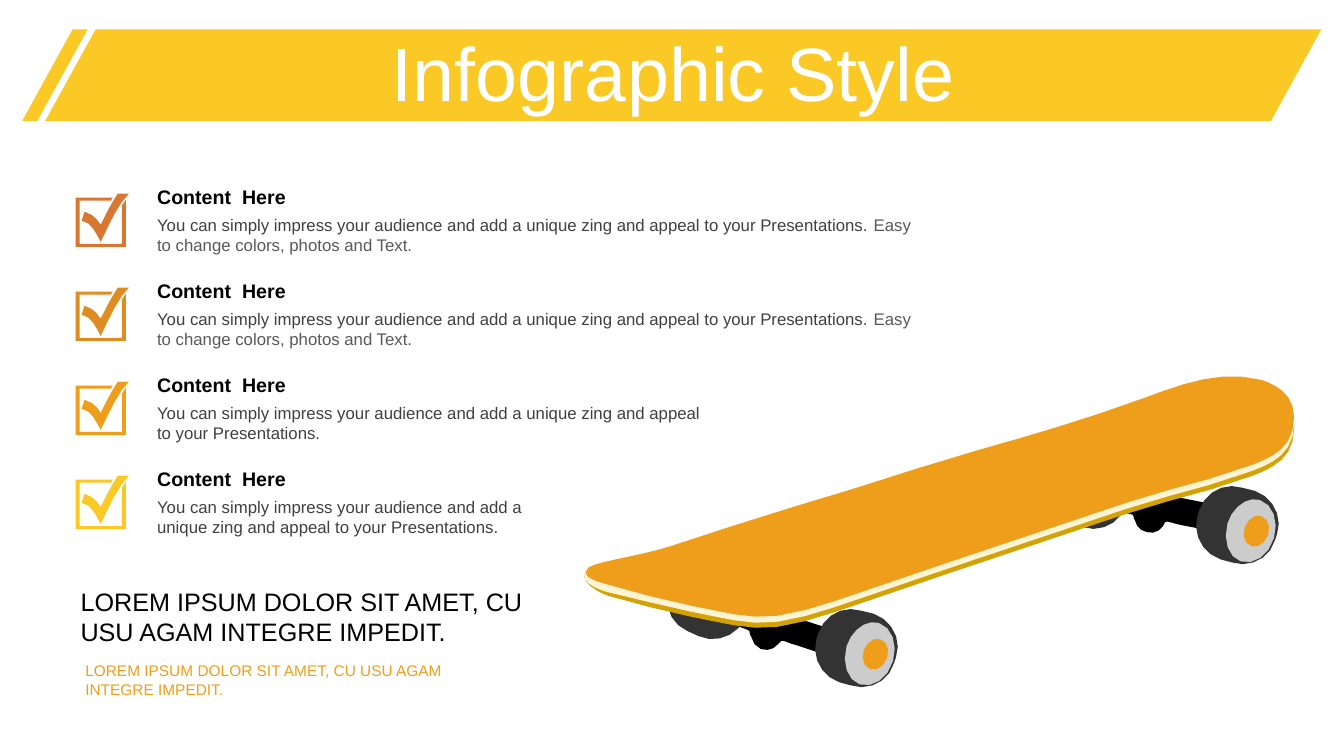
import math

import pptx
import pptx.dml.color
import pptx.enum.shapes
import pptx.enum.text
import pptx.util

Cm = pptx.util.Cm
Pt = pptx.util.Pt
ANCHOR = pptx.enum.text.MSO_ANCHOR
PARALLELOGRAM = pptx.enum.shapes.MSO_SHAPE.PARALLELOGRAM

TITLE = "Infographic Style"
HEADING = "Content  Here"
PITCH = "You can simply impress your audience and add a unique zing and appeal to your Presentations."
EXTRA = "Easy to change colors, photos and Text."
LOREM = "LOREM IPSUM DOLOR SIT AMET, CU USU AGAM INTEGRE IMPEDIT."
LONG = [(PITCH + " ", "404040"), (EXTRA, "595959")]
SHORT = [(PITCH, "404040")]
ITEMS = [
    ("D87732", 19.96, LONG),
    ("DE8D22", 19.96, LONG),
    ("EF9E1B", 14.27, SHORT),
    ("FAC926", 10.9, SHORT),
]
ITEM_LEFT, ITEM_TOP, ITEM_STEP = 3.71, 4.52, 2.37
BANNER = [((1.14, 0.74, 32.16, 2.31), 0.55), ((0.56, 0.74, 1.65, 2.31), 0.77)]
YELLOW, ORANGE, BLACK, WHITE = "FAC926", "EF9E1B", "000000", "FFFFFF"
RUBBER, METAL = "333333", "CCCCCC"

UNIT = Cm(2.54) / 100
TOLERANCE = 0.7
CHECK_FRAME = [
    (75, 196), (112, 196), (110, 199), (79, 199), (79, 242),
    (121, 242), (121, 204), (125, 198), (125, 245), (75, 245),
]
CHECK_TICK = [
    (128, 192), (118, 201, 108, 223, 100, 240), (96, 233, 91, 220, 81, 219), (84, 210),
    (93, 213, 96, 217, 100, 223), (106, 211, 108, 206, 117, 192),
]
FRONT_AXLE = [
    (818, 622), (725, 592), (722, 591, 718, 593, 717, 596), (714, 608),
    (712, 611, 714, 615, 717, 616), (737, 623), (743, 626, 744, 624, 744, 629), (745, 631),
    (746, 637, 750, 642, 755, 644), (762, 646, 768, 644, 772, 639), (775, 636),
    (776, 634, 784, 639, 790, 640), (811, 647), (814, 648, 817, 646, 819, 642), (822, 630),
]
REAR_AXLE = [
    (1197, 499), (1101, 480), (1098, 479, 1094, 482, 1094, 485), (1092, 497),
    (1091, 501, 1093, 504, 1097, 505), (1117, 509), (1123, 511, 1125, 509, 1125, 514), (1126, 516),
    (1127, 522, 1132, 527, 1138, 528), (1144, 530, 1151, 527, 1154, 522), (1156, 518),
    (1157, 516, 1166, 520, 1172, 521), (1193, 525), (1196, 525, 1200, 523, 1200, 519), (1202, 507),
]
HIDDEN_TIRE = [
    (693, 631), (682, 626), (665, 619, 657, 598, 665, 581), (667, 576),
    (675, 559, 695, 551, 713, 558), (724, 563), (741, 571, 749, 591, 741, 609), (739, 614),
    (731, 631, 710, 639, 693, 631),
]
TIRE = [
    (844, 680), (833, 677), (815, 671, 805, 652, 810, 634), (812, 628),
    (818, 610, 837, 600, 855, 606), (867, 609), (885, 615, 895, 635, 889, 652), (887, 658),
    (882, 676, 862, 686, 844, 680),
]
RIM = [
    (872, 618), (885, 622, 891, 639, 886, 656), (881, 673, 866, 683, 853, 679),
    (841, 675, 835, 658, 840, 641), (845, 625, 860, 614, 872, 618),
]
HUB = [
    (873, 634), (880, 636, 883, 644, 880, 653), (877, 661, 870, 666, 864, 664),
    (857, 662, 854, 654, 857, 645), (860, 637, 867, 632, 873, 634),
]
BOARD_UPPER = [
    (1284, 414), (1284, 389, 1263, 381, 1252, 377), (1211, 367, 1178, 379, 1132, 396),
    (1074, 417, 1026, 431, 969, 447), (909, 464, 847, 486, 787, 503), (746, 515, 706, 529, 665, 542),
]
BOARD_LOWER = [
    (630, 588, 658, 595, 686, 601), (714, 606, 742, 615, 771, 611), (799, 607, 826, 597, 853, 588),
    (882, 578, 912, 568, 941, 558), (1000, 538, 1058, 519, 1117, 499),
    (1158, 485, 1201, 477, 1243, 461), (1264, 453, 1284, 443, 1284, 414),
]
BOARD_LAYERS = [
    ("D3A305", 11, [(638, 561, 590, 560, 582, 566), (572, 576, 594, 588, 603, 591)]),
    ("FEF4D4", 6, [(636, 557, 590, 560, 582, 566), (573, 576, 591, 584, 601, 587)]),
    (ORANGE, 0, [(638, 551, 592, 557, 584, 563), (574, 573, 594, 577, 603, 580)]),
]
REAR_SHIFT, FAR_SHIFT = (378, -122), (230, -157)


def color(value):
    return pptx.dml.color.RGBColor.from_string(value)


def paint(shape, fill):
    shape.shadow.inherit = False
    shape.fill.solid()
    shape.fill.fore_color.rgb = color(fill)
    shape.line.fill.background()


def shifted(outline, dx, dy):
    return [tuple(v + (dy if i % 2 else dx) for i, v in enumerate(step)) for step in outline]


def curve(a, b, c, d):
    bend = max(math.dist((p[0] + r[0], p[1] + r[1]), (2 * q[0], 2 * q[1]))
               for p, q, r in ((a, b, c), (b, c, d)))
    count = max(1, math.ceil(math.sqrt(0.75 * bend / TOLERANCE)))
    for i in range(1, count + 1):
        t = i / count
        weights = ((1 - t) ** 3, 3 * t * (1 - t) ** 2, 3 * t * t * (1 - t), t ** 3)
        yield tuple(sum(w * p[axis] for w, p in zip(weights, (a, b, c, d))) for axis in (0, 1))


def flatten(outline):
    points = [outline[0]]
    for step in outline[1:]:
        if len(step) == 2:
            points.append(step)
        else:
            points.extend(curve(points[-1], step[:2], step[2:4], step[4:]))
    return [(x * UNIT, y * UNIT) for x, y in points]


def draw(shapes, fill, *outlines, shift=(0, 0)):
    contours = [flatten(shifted(outline, *shift)) for outline in outlines]
    builder = shapes.build_freeform(*contours[0][0])
    builder.add_line_segments(contours[0][1:], close=True)
    for contour in contours[1:]:
        builder.move_to(*contour[0])
        builder.add_line_segments(contour[1:], close=True)
    paint(builder.convert_to_shape(), fill)


def style(span, size, ink, bold=False):
    span.font.name = "Arial"
    span.font.size = Pt(size)
    span.font.bold = bold
    span.font.color.rgb = color(ink)


def write(page, place, spans, size, bold=False, anchor=ANCHOR.MIDDLE):
    box = page.shapes.add_textbox(*map(Cm, place))
    frame = box.text_frame
    frame.word_wrap = True
    frame.auto_size = pptx.enum.text.MSO_AUTO_SIZE.SHAPE_TO_FIT_TEXT
    frame.vertical_anchor = anchor
    for text, ink in spans:
        span = frame.paragraphs[0].add_run()
        span.text = text
        style(span, size, ink, bold)


def add_title(page):
    title = page.shapes.title
    for place, slant in BANNER:
        band = page.shapes.add_shape(PARALLELOGRAM, *map(Cm, place))
        band.adjustments[0] = slant
        paint(band, YELLOW)
        title.element.addprevious(band.element)
    title.left, title.top, title.width, title.height = map(Cm, (0.89, 0.94, 32.16, 2.01))
    frame = title.text_frame
    frame.text = TITLE
    frame.auto_size = pptx.enum.text.MSO_AUTO_SIZE.NONE
    frame.vertical_anchor = ANCHOR.MIDDLE
    para = frame.paragraphs[0]
    para.alignment = pptx.enum.text.PP_ALIGN.CENTER
    para.line_spacing = 0.9
    para.space_before = Pt(0)
    style(para.runs[0], 54, WHITE)


def add_skateboard(page):
    shapes = page.shapes.add_group_shape().shapes
    draw(shapes, BLACK, FRONT_AXLE)
    draw(shapes, RUBBER, HIDDEN_TIRE)
    draw(shapes, BLACK, REAR_AXLE)
    draw(shapes, RUBBER, TIRE, shift=FAR_SHIFT)
    for fill, drop, tail in BOARD_LAYERS:
        draw(shapes, fill, shifted(BOARD_UPPER, 0, drop) + tail + shifted(BOARD_LOWER, 0, drop))
    for shift in ((0, 0), REAR_SHIFT):
        for fill, outline in ((RUBBER, TIRE), (METAL, RIM), (ORANGE, HUB)):
            draw(shapes, fill, outline, shift=shift)


def add_items(page):
    for row, (fill, width, spans) in enumerate(ITEMS):
        drop = row * ITEM_STEP
        top = ITEM_TOP + drop
        draw(page.shapes, fill, CHECK_FRAME, CHECK_TICK, shift=(0, Cm(drop) / UNIT))
        write(page, (ITEM_LEFT, top + 0.76, width, 1.27), spans, 12, anchor=ANCHOR.TOP)
        write(page, (ITEM_LEFT, top, width, 0.86), [(HEADING, BLACK)], 14, bold=True)


def main():
    deck = pptx.Presentation()
    deck.slide_width, deck.slide_height = Cm(33.87), Cm(19.05)
    page = deck.slides.add_slide(deck.slide_layouts[5])
    add_title(page)
    add_skateboard(page)
    add_items(page)
    write(page, (1.9, 16.54, 9.88, 1.19), [(LOREM, ORANGE)], 11)
    write(page, (1.78, 14.63, 12.45, 1.8), [(LOREM, BLACK)], 18)
    deck.save("out.pptx")


if __name__ == "__main__":
    main()
